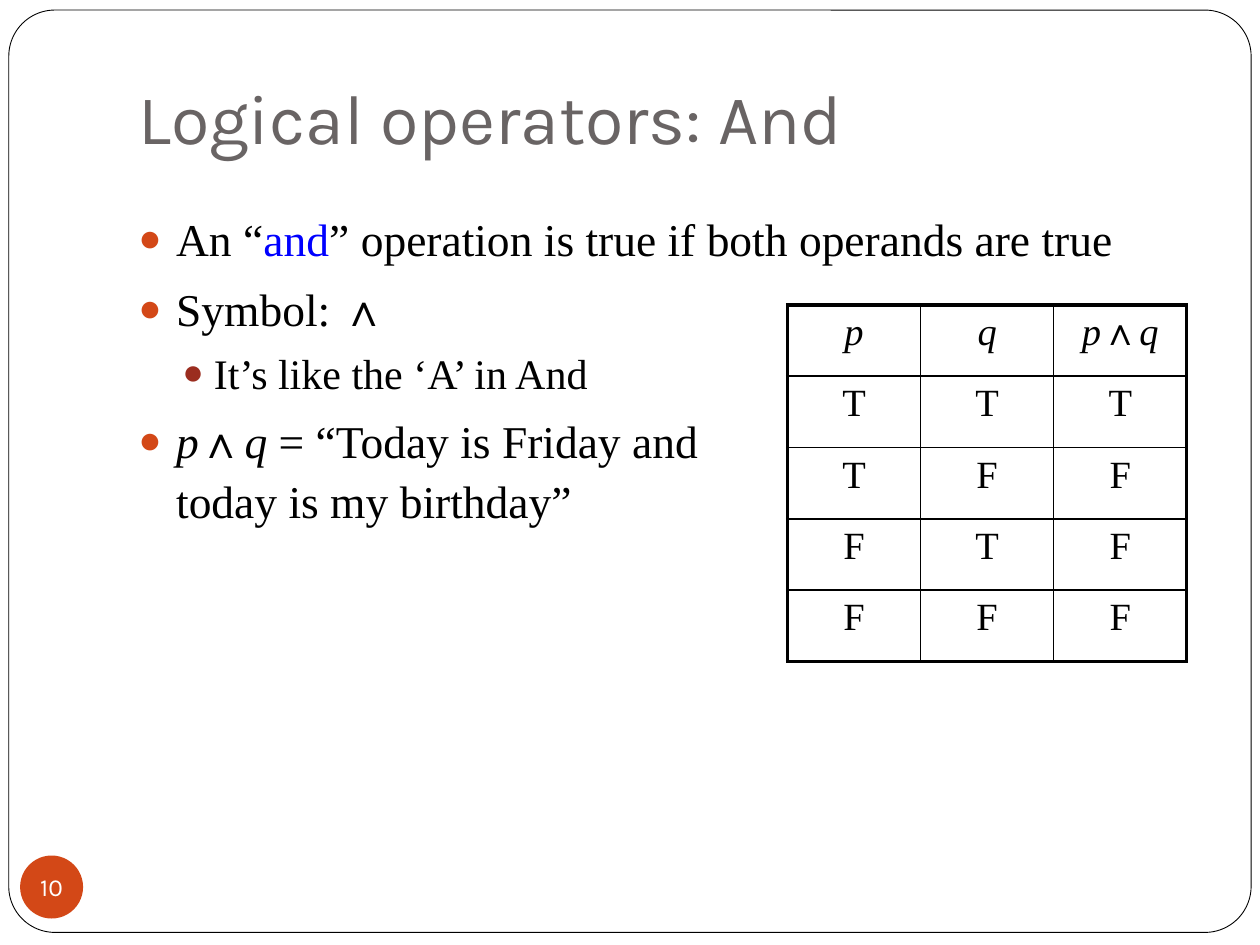
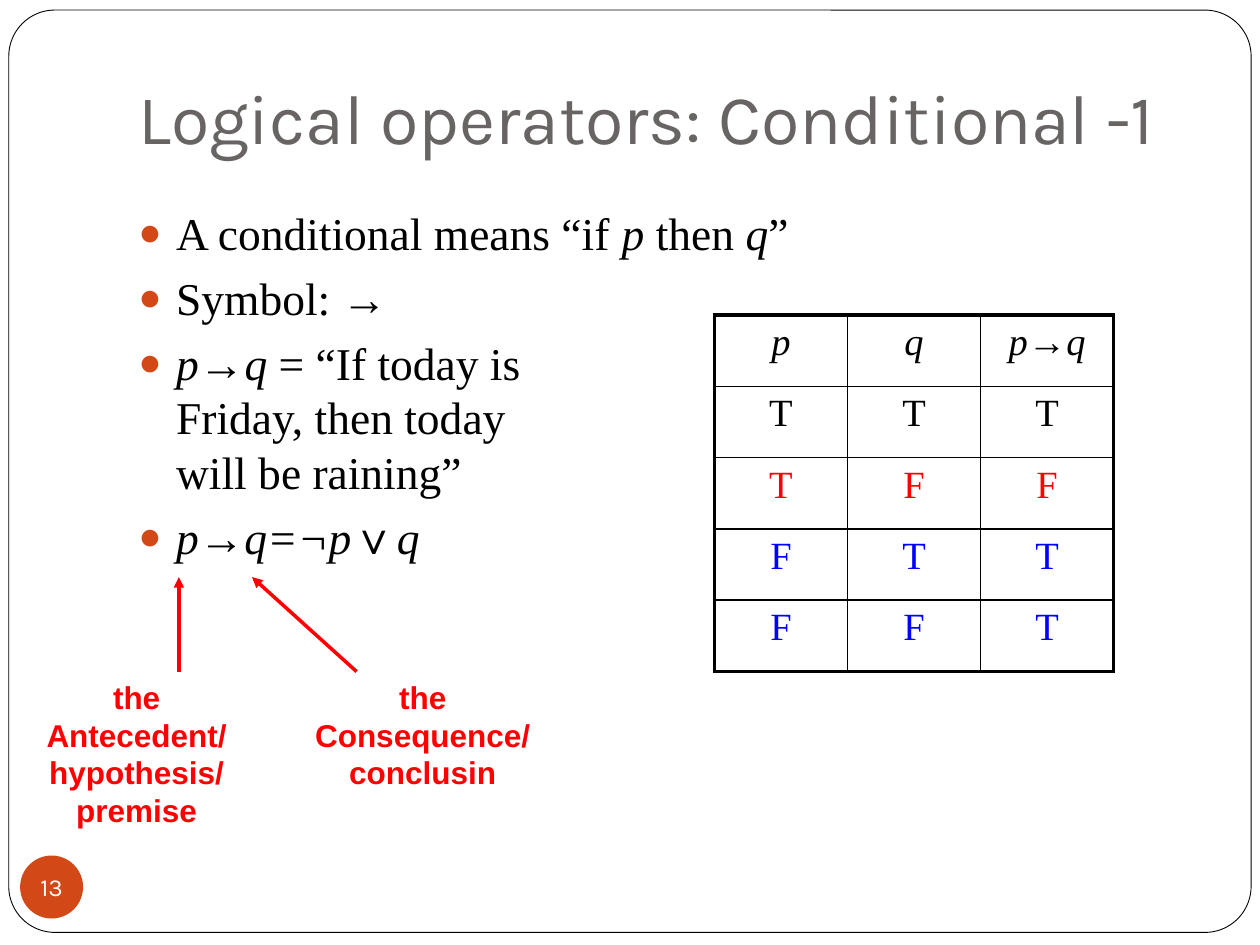
from dataclasses import dataclass

from lxml.etree import SubElement
from pptx import Presentation
from pptx.dml.color import RGBColor
from pptx.enum.shapes import MSO_CONNECTOR, MSO_SHAPE
from pptx.enum.text import MSO_ANCHOR, MSO_AUTO_SIZE, PP_ALIGN
from pptx.oxml.ns import qn
from pptx.util import Inches, Pt

CELL = Inches(0.1)  # the slide is a grid of 100 columns by 75 rows
COLUMNS, ROWS = 100, 75


@dataclass(frozen=True)
class Theme:
    title_font: str = "Karla"
    body_font: str = "Times New Roman"
    note_font: str = "Arial"
    title_size: int = 40
    body_sizes: tuple = (26, 24)
    table_size: int = 22
    note_size: int = 18
    number_size: int = 14
    title: str = "696464"
    text: str = "000000"
    paper: str = "FFFFFF"
    accent: str = "D34817"
    bullets: tuple = ("D34817", "9B2D1F")
    red: str = "FF0000"
    blue: str = "0000FF"
    space_before: tuple = (5.8, 3.8)
    indents: tuple = ((0.3, 0.3), (0.6, 0.25))
    thin: float = 1
    thick: float = 2.25


THEME = Theme()


@dataclass(frozen=True)
class Box:
    """A region measured in grid columns and rows."""
    left: float
    top: float
    width: float
    height: float

    def inner_box(self, left, top, width, height):
        return Box(self.left + left, self.top + top, width, height)

    def point(self, column, row):
        return cells(self.left + column), cells(self.top + row)

    def lengths(self):
        return [cells(n) for n in (self.left, self.top, self.width, self.height)]


FRAME = Box(0.7, 0.8, 98.6, 73.2)
TITLE = Box(10, 3, 85, 12.5)
BODY = Box(10, 15.8, 85, 50)
NUMBER = Box(1.6, 67.9, 5, 5)


def cells(count):
    return int(count * CELL)


def rgb(value):
    return RGBColor.from_string(value)


def style(run, font, size, color, bold=None, italic=None):
    run.font.name = font
    run.font.size = Pt(size)
    run.font.color.rgb = rgb(color)
    run.font.bold = bold
    run.font.italic = italic


def write(paragraph, text, font, size, color):
    """Write text in which *stars* mark italics and |bars| mark blue words."""
    for italic_index, piece in enumerate(text.split("*")):
        for blue_index, words in enumerate(piece.split("|")):
            for line_index, line in enumerate(words.split("\n")):
                if line_index:
                    paragraph.add_line_break()
                if line:
                    run = paragraph.add_run()
                    run.text = line
                    style(run, font, size, THEME.blue if blue_index % 2 else color,
                          italic=bool(italic_index % 2))


def add_bullet(paragraph, level):
    properties = paragraph._p.get_or_add_pPr()
    left, hanging = THEME.indents[level]
    properties.set("marL", str(Inches(left)))
    properties.set("indent", str(-Inches(hanging)))
    color = SubElement(properties, qn("a:buClr"))
    SubElement(color, qn("a:srgbClr"), val=THEME.bullets[level])
    SubElement(properties, qn("a:buSzPct"), val="85000")
    SubElement(properties, qn("a:buFont"), typeface=THEME.note_font)
    SubElement(properties, qn("a:buChar"), char="●")


def add_plain_shape(slide, kind, box, fill):
    shape = slide.shapes.add_shape(kind, *box.lengths())
    shape.shadow.inherit = False
    shape.fill.solid()
    shape.fill.fore_color.rgb = rgb(fill)
    return shape


def add_frame(slide, box):
    frame = add_plain_shape(slide, MSO_SHAPE.ROUNDED_RECTANGLE, box, THEME.paper)
    frame.adjustments[0] = 0.05
    frame.line.color.rgb = rgb(THEME.text)
    frame.line.width = Pt(0.5)


def add_title(slide, box, title):
    text_frame = slide.shapes.add_textbox(*box.lengths()).text_frame
    text_frame.word_wrap = True
    text_frame.vertical_anchor = MSO_ANCHOR.MIDDLE
    text_frame.text = title
    style(text_frame.paragraphs[0].runs[0], THEME.title_font, THEME.title_size, THEME.title)


def add_number(slide, box, number):
    disc = add_plain_shape(slide, MSO_SHAPE.OVAL, box, THEME.accent)
    disc.line.fill.background()
    text_frame = disc.text_frame
    text_frame.margin_left = text_frame.margin_right = 0
    text_frame.margin_top = text_frame.margin_bottom = 0
    text_frame.word_wrap = False
    text_frame.vertical_anchor = MSO_ANCHOR.MIDDLE
    text_frame.text = str(number)
    paragraph = text_frame.paragraphs[0]
    paragraph.alignment = PP_ALIGN.CENTER
    style(paragraph.runs[0], THEME.title_font, THEME.number_size, THEME.paper)


def add_body(slide, box, items, line_spacing):
    """Add a bullet list from (level, text) items."""
    text_frame = slide.shapes.add_textbox(*box.lengths()).text_frame
    text_frame.word_wrap = True
    for index, (level, text) in enumerate(items):
        paragraph = text_frame.add_paragraph() if index else text_frame.paragraphs[0]
        add_bullet(paragraph, level)
        paragraph.level = level
        paragraph.line_spacing = line_spacing
        paragraph.space_before = Pt(THEME.space_before[level] if index else 0)
        write(paragraph, text, THEME.body_font, THEME.body_sizes[level], THEME.text)


def set_borders(cell, widths):
    properties = cell._tc.get_or_add_tcPr()
    for side, width in zip("LRTB", widths):
        line = SubElement(properties, qn(f"a:ln{side}"), w=str(Pt(width)))
        fill = SubElement(line, qn("a:solidFill"))
        SubElement(fill, qn("a:srgbClr"), val=THEME.text)


def add_truth_table(slide, box, formula, rows, row_colors):
    """Add a table for p, q and the formula; each row is a string of T and F."""
    texts = [("*p*", "*q*", formula), *rows]
    last_row, last_column = len(texts) - 1, len(texts[0]) - 1
    table = slide.shapes.add_table(len(texts), len(texts[0]), *box.lengths()).table
    table.first_row = table.horz_banding = False
    for row_index, (row, color) in enumerate(zip(texts, (THEME.text, *row_colors))):
        for column_index, text in enumerate(row):
            cell = table.cell(row_index, column_index)
            outer = (column_index == 0, column_index == last_column,
                     row_index == 0, row_index == last_row)
            set_borders(cell, [THEME.thick if edge else THEME.thin for edge in outer])
            cell.fill.background()
            paragraph = cell.text_frame.paragraphs[0]
            paragraph.alignment = PP_ALIGN.CENTER
            write(paragraph, text, THEME.body_font, THEME.table_size, color)


def add_arrow(slide, start, end):
    arrow = slide.shapes.add_connector(MSO_CONNECTOR.STRAIGHT, *start, *end)
    arrow.line.color.rgb = rgb(THEME.red)
    arrow.line.width = Pt(2)
    SubElement(arrow.line._get_or_add_ln(), qn("a:tailEnd"), type="triangle")
    SubElement(arrow._element.spPr, qn("a:effectLst"))


def add_note(slide, box, text, wrap):
    text_frame = slide.shapes.add_textbox(*box.lengths()).text_frame
    text_frame.word_wrap = wrap
    text_frame.auto_size = MSO_AUTO_SIZE.SHAPE_TO_FIT_TEXT
    text_frame.text = text
    for paragraph in text_frame.paragraphs:
        paragraph.alignment = PP_ALIGN.CENTER
        style(paragraph.runs[0], THEME.note_font, THEME.note_size, THEME.red, bold=True)


def add_conditional_notes(slide, box):
    """Name the two sides of the conditional, with arrows up to them."""
    note_top = 7.5
    for start_column, end_column in ((12.5, 12.5), (26.6, 18.3)):
        add_arrow(slide, box.point(start_column, note_top), box.point(end_column, 0))
    add_note(slide, box.inner_box(0, note_top, 18.3, 13),
             "the\nAntecedent/ hypothesis/ premise", True)
    add_note(slide, box.inner_box(22.3, note_top, 19.1, 10),
             "the\nConsequence/\nconclusin", False)


def add_operator_slide(presentation, number, title, items, line_spacing=1.0):
    slide = presentation.slides.add_slide(presentation.slide_layouts[6])
    add_frame(slide, FRAME)
    add_title(slide, TITLE, title)
    add_body(slide, BODY, items, line_spacing)
    add_number(slide, NUMBER, number)
    return slide


def add_and_slide(presentation):
    slide = add_operator_slide(presentation, 10, "Logical operators: And", [
        (0, "An “|and|” operation is true if both operands are true"),
        (0, "Symbol: ∧"),
        (1, "It’s like the ‘A’ in And"),
        (0, "*p*∧*q* = “Today is Friday and \ntoday is my birthday”"),
    ], line_spacing=1.1)
    add_truth_table(slide, Box(62.5, 24.2, 31.7, 28.3), "*p*∧*q*",
                    ("TTT", "TFF", "FTF", "FFF"), [THEME.text] * 4)


def add_conditional_slide(presentation):
    slide = add_operator_slide(presentation, 13, "Logical operators: Conditional -1", [
        (0, "A conditional means “if *p* then *q*”"),
        (0, "Symbol: →"),
        (0, "*p*→*q* = “If today is \nFriday, then today \nwill be raining”"),
        (0, "*p→q=¬p∨q*"),
    ])
    add_conditional_notes(slide, Box(1.7, 45.8, 41.4, 20.5))
    add_truth_table(slide, Box(56.7, 25, 31.7, 28.3), "*p*→*q*",
                    ("TTT", "TFF", "FTT", "FFT"),
                    (THEME.text, THEME.red, THEME.blue, THEME.blue))


def main():
    presentation = Presentation()
    presentation.slide_width = cells(COLUMNS)
    presentation.slide_height = cells(ROWS)
    add_and_slide(presentation)
    add_conditional_slide(presentation)
    presentation.save("out.pptx")


if __name__ == "__main__":
    main()
